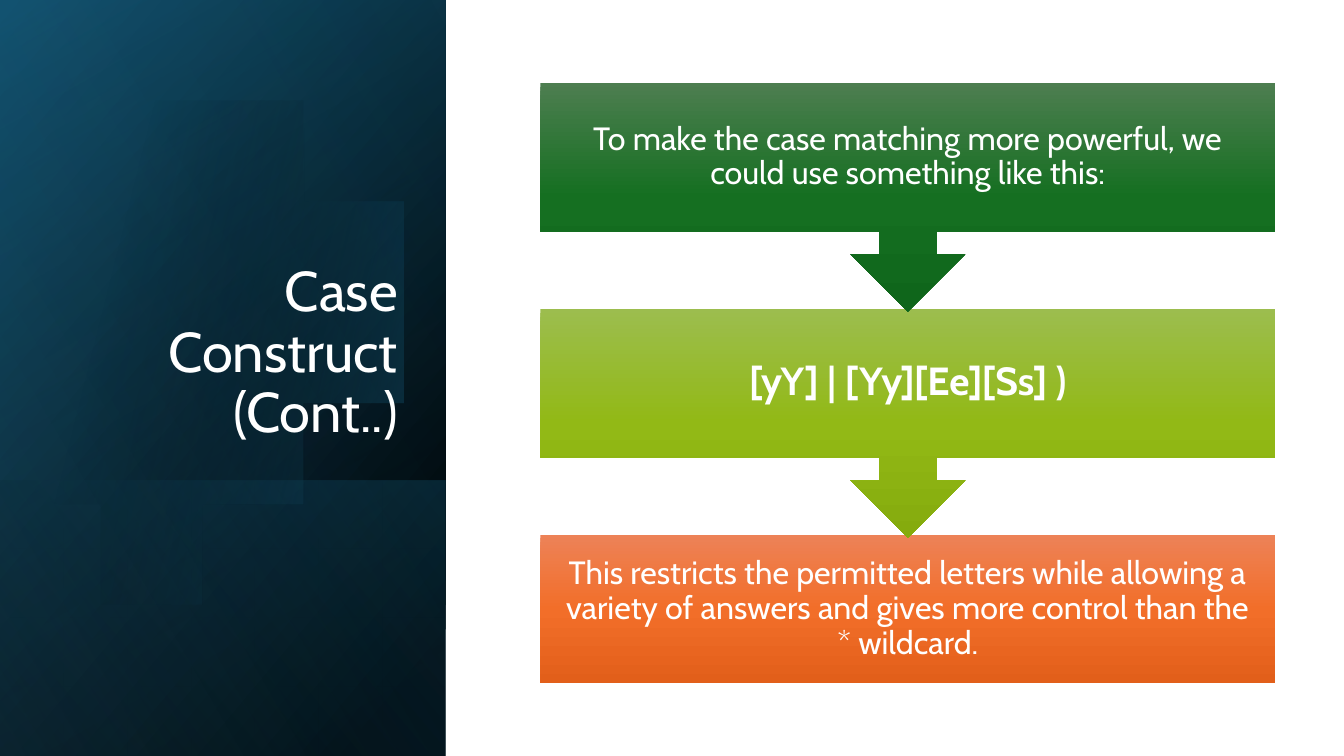
from dataclasses import dataclass
from math import acos, cos, sin
from lxml import etree
from pptx import Presentation, util as u
from pptx.dml.color import RGBColor
from pptx.enum import shapes, text
from pptx.oxml import ns


@dataclass(frozen=True)
class Theme:
    font: str = "Cabin"
    light: str = "FFFFFF"
    dark: str = "000000"
    navy: str = "104862"
    teal: str = "156082"
    sky: str = "46B1E1"
    green: tuple = ("4D7E50", "156F21", "0F661B")
    lime: tuple = ("9CBD4E", "92B916", "85AB0D")
    orange: tuple = ("ED8257", "F26E29", "E25F1A")
    title: int = 40
    body: int = 23
    code: int = 28


@dataclass(frozen=True)
class Box:
    left: float
    top: float
    width: float
    height: float

    def inches(self):
        return [u.Inches(length) for length in (self.left, self.top, self.width, self.height)]


THEME = Theme()
WIDTH, HEIGHT = 13.33, 7.5
SIDEBAR = Box(0, 0, 4.42, HEIGHT)
FLOW = Box(5.36, 0.82, 7.29, 5.96)
STEPS = [
    ("To make the case matching more powerful, we could use something like this:",
     THEME.green, dict(size=THEME.body), 0.18),
    ("[yY] | [Yy][Ee][Ss] )",
     THEME.lime, dict(size=THEME.code, bold=True), 0.22),
    ("This restricts the permitted letters while allowing a variety of answers "
     "and gives more control than the * wildcard.",
     THEME.orange, dict(size=THEME.body), 0.18),
]


def paint_gradient(shape, stops, angle):
    shape.shadow.inherit = False
    shape.line.fill.background()
    shape.fill.background()
    properties = shape._element.spPr
    gradient = etree.Element(ns.qn("a:gradFill"), rotWithShape="1")
    stop_list = etree.SubElement(gradient, ns.qn("a:gsLst"))
    for position, color, opacity in stops:
        stop = etree.SubElement(stop_list, ns.qn("a:gs"), pos=str(position * 1000))
        value = etree.SubElement(stop, ns.qn("a:srgbClr"), val=color)
        if opacity < 100:
            etree.SubElement(value, ns.qn("a:alpha"), val=str(opacity * 1000))
    etree.SubElement(gradient, ns.qn("a:lin"), ang=str(angle * 60000), scaled="0")
    properties.replace(properties.find(ns.qn("a:noFill")), gradient)


def write_text(shape, words, size, bold=False, align=text.PP_ALIGN.CENTER,
               anchor=text.MSO_ANCHOR.MIDDLE, inset=None):
    frame = shape.text_frame
    frame.word_wrap = True
    frame.auto_size = text.MSO_AUTO_SIZE.NONE
    frame.vertical_anchor = anchor
    if inset is not None:
        frame.margin_left = frame.margin_right = u.Inches(inset)
        frame.margin_top = frame.margin_bottom = u.Inches(inset)
    para = frame.paragraphs[0]
    para.alignment = align
    para.line_spacing = 0.9
    span = para.add_run()
    span.text = words
    span.font.name = THEME.font
    span.font.size = u.Pt(size)
    span.font.bold = bold
    span.font.color.rgb = RGBColor.from_string(THEME.light)


def add_turned_panel(page, box, stops, angle):
    turned = Box(box.left + (box.width - box.height) / 2,
                 box.top + (box.height - box.width) / 2, box.height, box.width)
    panel = page.shapes.add_shape(shapes.MSO_SHAPE.RECTANGLE, *turned.inches())
    panel.rotation = 90
    panel._element.spPr.find(ns.qn("a:xfrm")).set("flipH", "1")
    paint_gradient(panel, stops, angle)


def add_cut_disc(page, box):
    center_x, center_y = box.left + 0.324 * box.width, box.top + 0.45 * box.height
    radius = 0.305 * box.height
    limit = acos((box.left - center_x) / radius)
    steps = 120
    angles = [limit * (2 * step / steps - 1) for step in range(steps + 1)]
    points = [(center_x + radius * cos(angle), center_y + radius * sin(angle))
              for angle in angles]
    builder = page.shapes.build_freeform(*points[0], scale=u.Inches(1))
    builder.add_line_segments(points[1:], close=True)
    paint_gradient(builder.convert_to_shape(),
                   [(29, THEME.dark, 0), (100, THEME.teal, 43)], 14)


def add_sidebar(page, box):
    lower_height = 0.365 * box.height
    lower = Box(box.left, box.top + box.height - lower_height, box.width, lower_height)
    add_turned_panel(page, box, [(8, THEME.dark, 100), (100, THEME.navy, 100)], 50)
    add_turned_panel(page, box, [(0, THEME.dark, 0), (99, THEME.teal, 46)], 30)
    add_turned_panel(page, lower, [(2, THEME.teal, 29), (100, THEME.dark, 30)], 130)
    add_cut_disc(page, box)
    add_turned_panel(page, box, [(0, THEME.dark, 0), (99, THEME.sky, 11)], 120)


def place_title(page, box, words):
    title = page.shapes.title
    area = Box(box.left + 0.145 * box.width, box.top + 0.245 * box.height,
               0.77 * box.width, 0.35 * box.height)
    title.left, title.top, title.width, title.height = area.inches()
    page.shapes._spTree.append(title._element)
    write_text(title, words, THEME.title, align=text.PP_ALIGN.RIGHT,
               anchor=text.MSO_ANCHOR.BOTTOM)


def add_flow(page, box, steps):
    block_height = 0.247 * box.height
    callout_height = 0.381 * box.height
    pitch = (box.height - block_height) / (len(steps) - 1)
    for row, (words, colors, style, inset) in reversed(list(enumerate(steps))):
        last = row == len(steps) - 1
        kind = shapes.MSO_SHAPE.RECTANGLE if last else shapes.MSO_SHAPE.DOWN_ARROW_CALLOUT
        area = Box(box.left, box.top + row * pitch, box.width,
                   block_height if last else callout_height)
        block = page.shapes.add_shape(kind, *area.inches())
        paint_gradient(block, [(50 * place, color, 100)
                               for place, color in enumerate(colors)], 90)
        write_text(block, words, inset=inset, **style)


def main():
    deck = Presentation()
    deck.slide_width, deck.slide_height = u.Inches(WIDTH), u.Inches(HEIGHT)
    page = deck.slides.add_slide(deck.slide_layouts[5])
    add_sidebar(page, SIDEBAR)
    place_title(page, SIDEBAR, "Case Construct (Cont..)")
    add_flow(page, FLOW, STEPS)
    deck.save("out.pptx")


if __name__ == "__main__":
    main()
